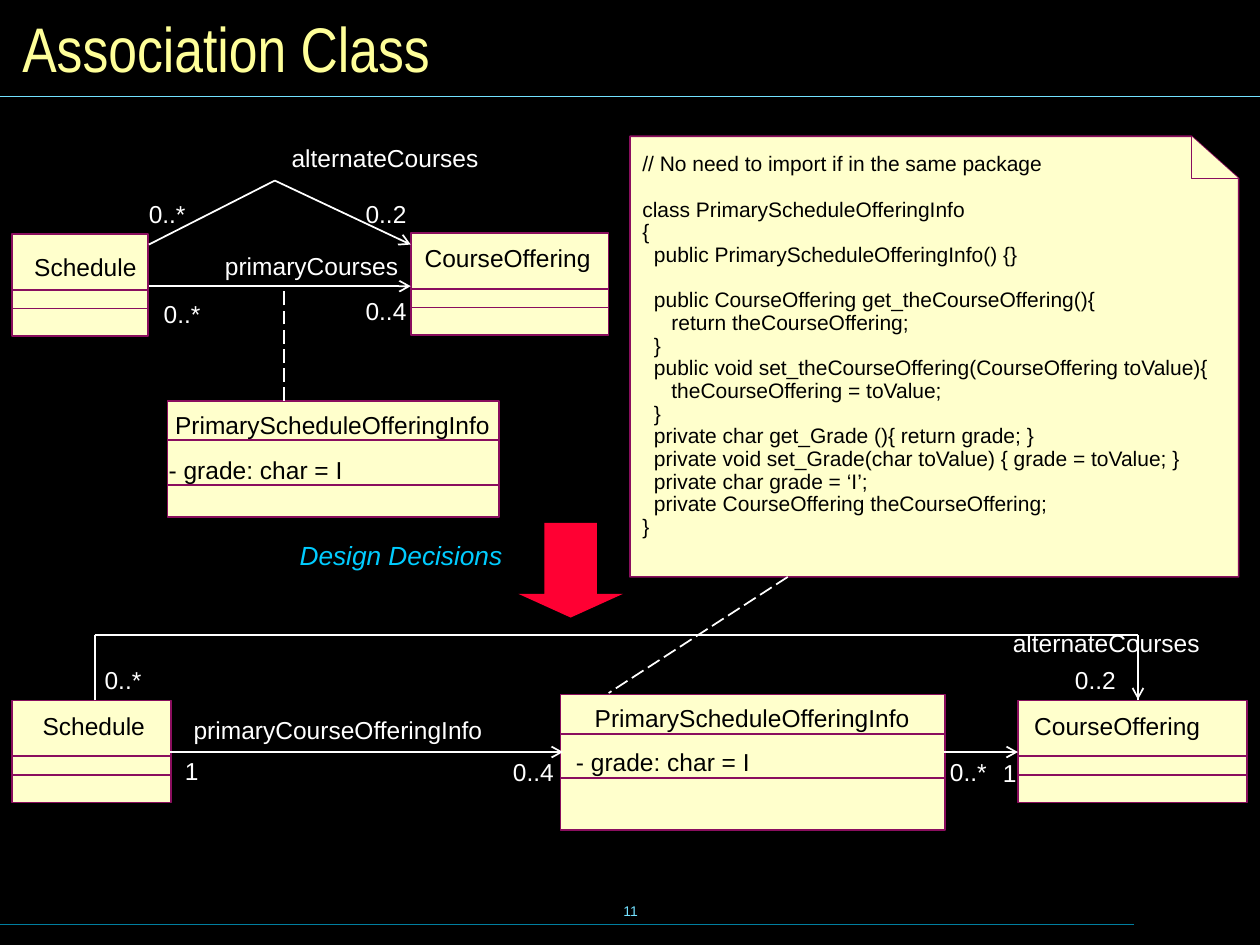
"""Build the association class slide."""
import pptx
import pptx.util
import pptx.dml.color
import pptx.enum.dml
import pptx.enum.shapes
import pptx.enum.text
import pptx.oxml

Cm = pptx.util.Cm
Pt = pptx.util.Pt
ALIGN = pptx.enum.text.PP_ALIGN
FIT = pptx.enum.text.MSO_AUTO_SIZE
SHAPE = pptx.enum.shapes.MSO_SHAPE
WHITE, BLACK, CREAM, PLUM = "FFFFFF", "000000", "FFFFCC", "8A0E5E"
CYAN, TEAL = "73E1FF", "007E9F"

CODE = """// No need to import if in the same package

class PrimaryScheduleOfferingInfo
{
  public PrimaryScheduleOfferingInfo() {}

  public CourseOffering get_theCourseOffering(){
     return theCourseOffering;
  }
  public void set_theCourseOffering(CourseOffering toValue){
     theCourseOffering = toValue;
  }
  private char get_Grade (){ return grade; }
  private void set_Grade(char toValue) { grade = toValue; }
  private char grade = ‘I’;
  private CourseOffering theCourseOffering;
}"""

PLAIN, INFO = (1.12, 1.5), (0.79, 1.69)
BOXES = [
    (0.25, 14.12, 3.2, 2.06, PLAIN),
    (20.52, 14.12, 4.62, 2.06, PLAIN),
    (11.3, 14, 7.75, 2.74, INFO),
    (0.25, 4.72, 2.74, 2.06, PLAIN),
    (8.28, 4.7, 3.99, 2.06, PLAIN),
    (3.38, 8.08, 6.68, 2.34, INFO),
]
NOTE = [(24.97, 11.63), (12.7, 11.63), (12.7, 2.75), (24.02, 2.75), (24.97, 3.6)]
FOLD = [(24.97, 3.6), (24.02, 3.6), (24.02, 2.75)]

RULES = [(0, 18.63, 22.86, 18.63, TEAL), (0, 1.94, 25.4, 1.94, CYAN)]
LINKS = [
    (15.88, 11.63, 12.27, 13.97, "dash"),
    (5.72, 8.08, 5.72, 5.77, "dash"),
    (3, 5.77, 8.28, 5.77, "arrow"),
    (3, 4.93, 5.54, 3.64, "line"),
    (5.54, 3.64, 8.28, 4.93, "arrow"),
    (3.43, 15.16, 11.35, 15.16, "arrow"),
    (19.02, 15.16, 20.52, 15.16, "arrow"),
    (1.91, 14.12, 1.91, 12.8, "line"),
    (22.94, 14.12, 22.94, 12.8, "line"),
    (1.91, 12.8, 22.94, 12.8, "line"),
    (22.94, 13.41, 22.94, 14.1, "arrow"),
]

LABELS = {
    "Schedule": (2.08, BLACK, [(0.69, 5.08), (0.86, 14.33)]),
    "CourseOffering": (3.35, BLACK, [(8.56, 4.9), (20.85, 14.33)]),
    "PrimaryScheduleOfferingInfo": (6.35, BLACK, [(3.53, 8.27), (11.99, 14.17)]),
    "- grade: char = I": (3.54, BLACK, [(3.4, 9.17), (11.61, 15.06)]),
    "0..4": (0.84, WHITE, [(7.37, 5.97), (10.34, 15.27)]),
    "0..2": (0.84, WHITE, [(7.37, 4.01), (21.67, 13.41)]),
    "0..*": (0.76, WHITE, [(3.3, 6.02), (3, 4.01), (19.15, 15.27), (2.11, 13.41)]),
    "1": (0.28, WHITE, [(20.22, 15.29), (3.73, 15.24)]),
}
ROLES = [
    ("primaryCourses", 4.06, 4.93, 4.22),
    ("alternateCourses", 4.52, 2.75, 5.38),
    ("alternateCourses", 18.19, 12.53, 6.25),
    ("primaryCourseOfferingInfo", 3.2, 14.28, 6.78),
]

deck = pptx.Presentation()
deck.slide_width, deck.slide_height = Cm(25.4), Cm(19.05)
slide = deck.slides.add_slide(deck.slide_layouts[6])
shapes = slide.shapes


def tint(text):
    return pptx.dml.color.RGBColor.from_string(text)


def node(text):
    return pptx.oxml.parse_xml(
        f'<a:{text} xmlns:a="http://schemas.openxmlformats.org/drawingml/2006/main"/>')


def paint(shape, fill, edge=None):
    shape.shadow.inherit = False
    shape.fill.solid()
    shape.fill.fore_color.rgb = tint(fill)
    if edge:
        shape.line.color.rgb = tint(edge)
        shape.line.width = Pt(1)
    else:
        shape.line.fill.background()


def link(x1, y1, x2, y2, color=WHITE, width=1, kind="line"):
    line = shapes.add_connector(
        pptx.enum.shapes.MSO_CONNECTOR.STRAIGHT, Cm(x1), Cm(y1), Cm(x2), Cm(y2))
    line.line.color.rgb = tint(color)
    line.line.width = Pt(width)
    if kind == "dash":
        line.line.dash_style = pptx.enum.dml.MSO_LINE.LONG_DASH
    props = line._element.spPr
    if kind == "arrow":
        props.get_or_add_ln().append(node('tailEnd type="arrow"'))
    props.append(node("effectLst"))


def write(text, x, y, w, h, size=14, color=WHITE, face="Arial", align=ALIGN.LEFT,
          pad=(0.25, 0.13), wrap=False, middle=False, space=1, slant=False):
    frame = shapes.add_textbox(Cm(x), Cm(y), Cm(w), Cm(h)).text_frame
    frame.word_wrap = wrap
    frame.auto_size = FIT.NONE if middle else FIT.SHAPE_TO_FIT_TEXT
    frame.margin_left = frame.margin_right = Cm(pad[0])
    frame.margin_top = frame.margin_bottom = Cm(pad[1])
    if middle:
        frame.vertical_anchor = pptx.enum.text.MSO_ANCHOR.MIDDLE
    frame.text = text
    for part in frame.paragraphs:
        part.alignment = align
        part.line_spacing = space
        part.font.name = face
        part.font.size = Pt(size)
        part.font.italic = slant
        part.font.color.rgb = tint(color)


def trace(points, close):
    first, *rest = [(Cm(x), Cm(y)) for x, y in points]
    pen = shapes.build_freeform(*first)
    pen.add_line_segments(rest, close=close)
    paint(pen.convert_to_shape(), CREAM, PLUM)


slide.background.fill.solid()
slide.background.fill.fore_color.rgb = tint(BLACK)

write("11", 8.69, 17.73, 8.05, 1.27, 8, CYAN, align=ALIGN.CENTER, middle=True)
for *ends, color in RULES:
    link(*ends, color, 0.75)
trace(NOTE, True)
trace(FOLD, False)
for x, y, w, h, rows in BOXES:
    paint(shapes.add_shape(SHAPE.RECTANGLE, Cm(x), Cm(y), Cm(w), Cm(h)), CREAM, PLUM)
    for row in rows:
        link(x, y + row, x + w, y + row, PLUM)
write(CODE, 12.7, 2.97, 11.94, 8.46, 12, BLACK, space=0.9)
write("Association Class", 0.2, 0.22, 25, 1.47, 36, "FFFF99", "Arial Narrow",
      wrap=True, middle=True)
for *ends, kind in LINKS:
    link(*ends, kind=kind)
for text, (w, color, spots) in LABELS.items():
    for x, y in spots:
        write(text, x, y, w, 0.58, color=color, pad=(0, 0))
for text, x, y, w in ROLES:
    write(text, x, y, w, 0.86, align=ALIGN.RIGHT, wrap=True)
arrow = shapes.add_shape(SHAPE.DOWN_ARROW, Cm(10.45), Cm(10.54), Cm(2.11), Cm(1.91))
arrow.adjustments[1] = 0.25
paint(arrow, "FF0033")
write("Design Decisions", 5.79, 10.75, 5.08, 0.89, 15, "00CCFF", wrap=True, slant=True)

deck.save("out.pptx")
